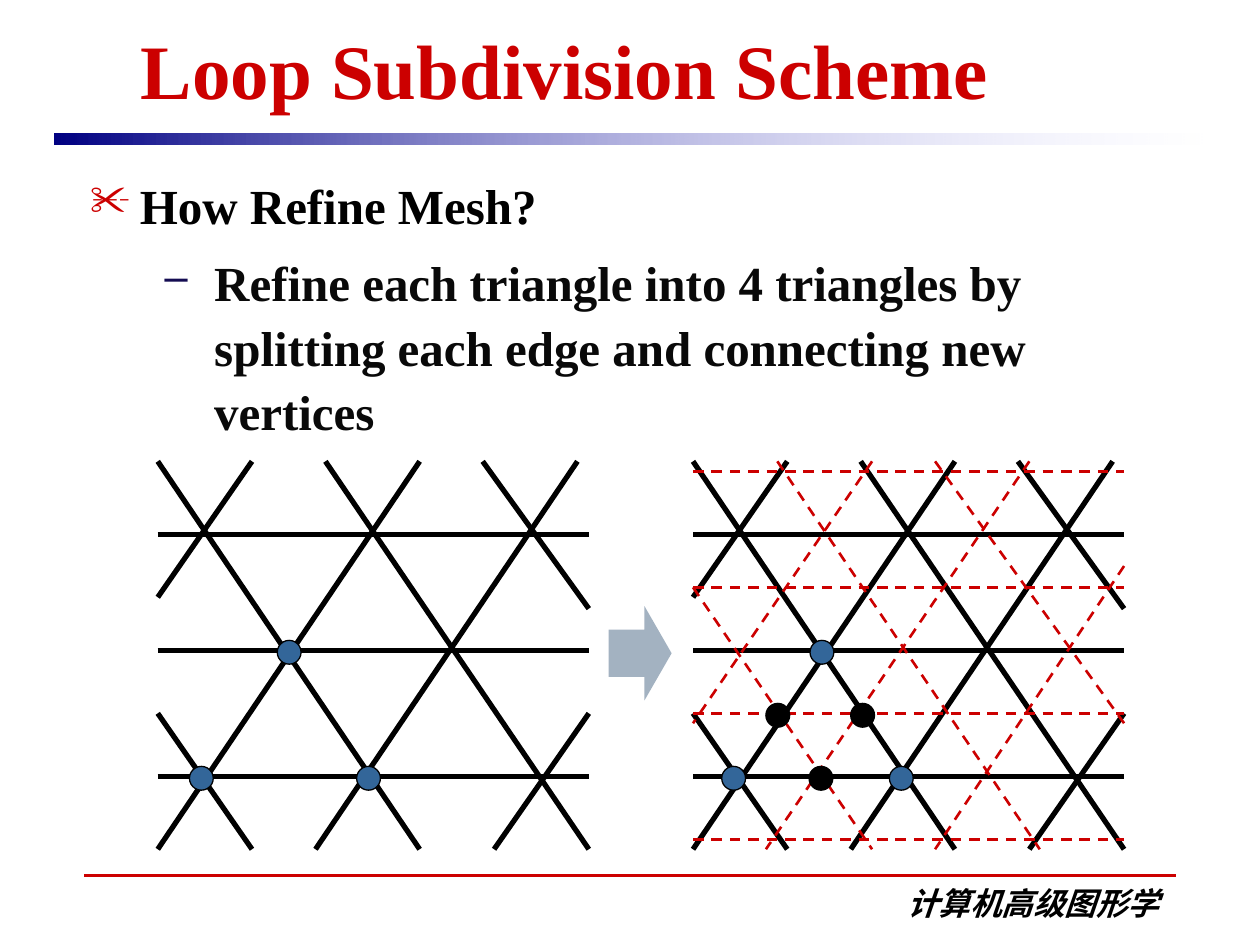
from lxml.etree import SubElement
from pptx import Presentation
from pptx.dml.color import RGBColor
from pptx.enum.dml import MSO_LINE
from pptx.enum.shapes import MSO_CONNECTOR, MSO_SHAPE
from pptx.enum.text import MSO_ANCHOR, PP_ALIGN
from pptx.oxml.ns import qn
from pptx.util import Cm, Pt

RED = RGBColor(0xCC, 0x00, 0x00)
BLACK = RGBColor(0x00, 0x00, 0x00)
BODY = RGBColor(0x09, 0x09, 0x09)
DASH_BULLET = RGBColor(0x14, 0x0C, 0x52)
NAVY = RGBColor(0x00, 0x00, 0x82)
LAVENDER = RGBColor(0xCC, 0xCC, 0xFF)
VERTEX_BLUE = RGBColor(0x33, 0x66, 0x99)
ARROW_GRAY = RGBColor(0xA3, 0xB2, 0xC1)

# Mesh geometry in cm, measured from the top left corner of a mesh
MESH_TOP, MESH_WIDTH, MESH_HEIGHT = 9.3, 8.69, 7.82
LEFT_MESH, RIGHT_MESH = 3.18, 13.97
VERTEX_SIZE = 0.48
EDGE_ROWS = [1.47, 3.81, 6.35]
EDGES = [
    (0, 0, 5.28, MESH_HEIGHT), (3.38, 0, MESH_WIDTH, MESH_HEIGHT),
    (8.46, 0, 3.18, MESH_HEIGHT), (5.28, 0, 0, MESH_HEIGHT),
    (MESH_WIDTH, 5.08, 6.78, MESH_HEIGHT), (1.9, 0, 0, 2.74),
    (0, 5.08, 1.9, MESH_HEIGHT), (6.55, 0, MESH_WIDTH, 2.97),
]
SPLIT_ROWS = [0.2, 2.54, 5.08, 7.62]
SPLIT_EDGES = [
    (6.78, 0, 1.47, MESH_HEIGHT), (3.61, 0, 0, 5.28),
    (MESH_WIDTH, 2.11, 4.88, MESH_HEIGHT), (0, 2.54, 3.61, MESH_HEIGHT),
    (4.88, 0, MESH_WIDTH, 5.28), (1.7, 0, 6.99, MESH_HEIGHT),
]
LEFT_VERTICES = [(2.41, 3.61), (0.64, 6.15), (4.01, 6.15)]
RIGHT_VERTICES = [(2.36, 3.61), (0.58, 6.15), (3.96, 6.15)]
NEW_VERTICES = [(1.47, 4.88), (3.18, 4.88), (2.34, 6.15)]


def across(rows):
    """Horizontal mesh lines, one for each height."""
    return [(0, y, MESH_WIDTH, y) for y in rows]


class SlideBuilder:
    font_name = "Times New Roman"

    def __init__(self, slide):
        self.slide = slide

    def line(self, shapes, ends, color, width, dash=None):
        connector = shapes.add_connector(MSO_CONNECTOR.STRAIGHT, *map(Cm, ends))
        connector.line.color.rgb = color
        connector.line.width = Pt(width)
        if dash is not None:
            connector.line.dash_style = dash
        SubElement(connector._element.spPr, qn("a:effectLst"))

    def shape(self, shapes, kind, box, fill=None, outline=None):
        shape = shapes.add_shape(kind, *map(Cm, box))
        shape.shadow.inherit = False
        if fill is not None:
            shape.fill.solid()
            shape.fill.fore_color.rgb = fill
        if outline is None:
            shape.line.fill.background()
        else:
            shape.line.color.rgb = outline
            shape.line.width = Pt(0.75)
        return shape

    def fading_bar(self, box, start, end):
        """A bar whose colour fades to full transparency at the right."""
        bar = self.shape(self.slide.shapes, MSO_SHAPE.RECTANGLE, box)
        bar.fill.gradient()
        bar.fill.gradient_angle = 0
        for stop, color in zip(bar.fill.gradient_stops, (start, end)):
            stop.color.rgb = color
        gradient = bar._element.spPr.find(qn("a:gradFill"))
        last_color = list(gradient.iter(qn("a:srgbClr")))[-1]
        SubElement(last_color, qn("a:alpha"), val="0")

    def text_box(self, box, anchor=MSO_ANCHOR.TOP):
        frame = self.slide.shapes.add_textbox(*map(Cm, box)).text_frame
        frame.word_wrap = True
        frame.vertical_anchor = anchor
        return frame

    def add_text(self, paragraph, text, color, size, paragraph_format=None, **font_format):
        for name, value in (paragraph_format or {}).items():
            setattr(paragraph, name, value)
        run = paragraph.add_run()
        run.text = text
        run.font.color.rgb = color
        font_format = {"name": self.font_name, "size": Pt(size), "bold": True} | font_format
        for name, value in font_format.items():
            setattr(run.font, name, value)
        SubElement(run._r.get_or_add_rPr(), qn("a:ea"), typeface=font_format["name"])

    def bullet(self, paragraph, character, color, left):
        properties = paragraph._p.get_or_add_pPr()
        properties.set("marL", str(Cm(left)))
        properties.set("indent", str(Cm(-1)))
        bullet_color = SubElement(properties, qn("a:buClr"))
        SubElement(bullet_color, qn("a:srgbClr"), val=str(color))
        SubElement(properties, qn("a:buSzPct"), val="85000")
        SubElement(properties, qn("a:buChar"), char=character)

    def mesh(self, left, vertices, split_lines=(), new_vertices=()):
        shapes = self.slide.shapes.add_group_shape().shapes
        layers = [
            (across(EDGE_ROWS) + EDGES, (BLACK, 3)),
            (split_lines, (RED, 1.5, MSO_LINE.DASH)),
        ]
        for lines, style in layers:
            for x1, y1, x2, y2 in lines:
                ends = (left + x1, MESH_TOP + y1, left + x2, MESH_TOP + y2)
                self.line(shapes, ends, *style)
        for points, fill in ((vertices, VERTEX_BLUE), (new_vertices, BLACK)):
            for x, y in points:
                box = (left + x, MESH_TOP + y, VERTEX_SIZE, VERTEX_SIZE)
                self.shape(shapes, MSO_SHAPE.OVAL, box, fill, BLACK)


def main():
    presentation = Presentation()
    presentation.slide_width, presentation.slide_height = Cm(25.4), Cm(19.05)
    slide = presentation.slides.add_slide(presentation.slide_layouts[6])
    builder = SlideBuilder(slide)

    builder.line(slide.shapes, (1.7, 17.65, 23.7, 17.65), RED, 1.75)
    builder.fading_bar((1.09, 2.69, 23.22, 0.23), NAVY, LAVENDER)
    footer = builder.text_box((16.71, 17.7, 6.91, 1.02))
    builder.add_text(footer.paragraphs[0], "计算机高级图形学", BLACK, 18,
                     {"alignment": PP_ALIGN.RIGHT}, name="Noto Sans CJK SC", italic=True)

    title = builder.text_box((2.59, 0.33, 21.21, 2.11), MSO_ANCHOR.BOTTOM)
    builder.add_text(title.paragraphs[0], "Loop Subdivision Scheme", RED, 44)

    body = builder.text_box((1.57, 3.18, 22.23, 6.35))
    question = body.paragraphs[0]
    builder.bullet(question, "✂", RED, 1)
    builder.add_text(question, "How Refine Mesh?", BLACK, 28, {"line_spacing": 1.2})
    answer = body.add_paragraph()
    builder.bullet(answer, "–", DASH_BULLET, 2.5)
    builder.add_text(answer, "Refine each triangle into 4 triangles by splitting each edge "
                     "and connecting new vertices", BODY, 28,
                     {"level": 1, "line_spacing": 1.1, "space_before": Pt(7)})

    builder.mesh(LEFT_MESH, LEFT_VERTICES)
    builder.mesh(RIGHT_MESH, RIGHT_VERTICES, SPLIT_EDGES + across(SPLIT_ROWS), NEW_VERTICES)
    arrow = builder.shape(slide.shapes, MSO_SHAPE.RIGHT_ARROW,
                          (12.27, 12.22, 1.27, 1.9), ARROW_GRAY)
    arrow.adjustments[1] = 0.43

    presentation.save("out.pptx")


if __name__ == "__main__":
    main()
